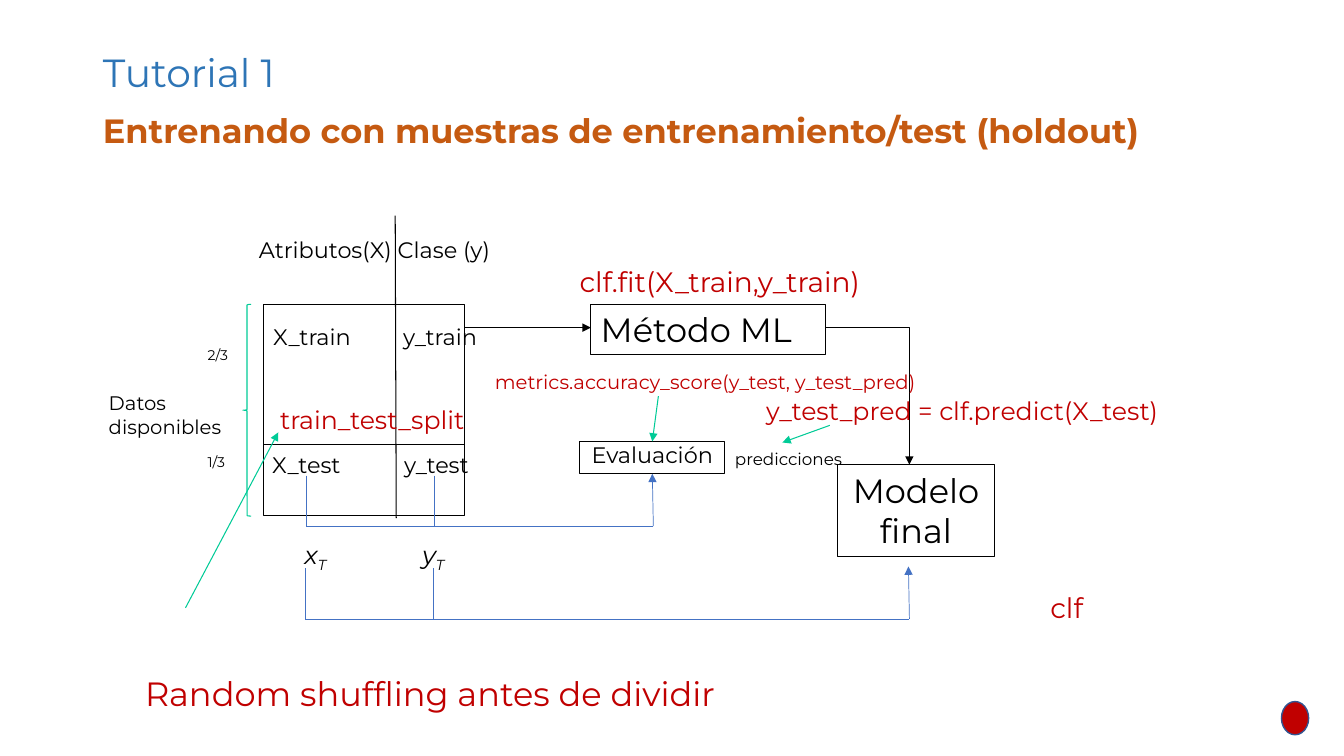
from dataclasses import dataclass

from lxml.etree import SubElement
from pptx import Presentation
from pptx.dml.color import RGBColor
from pptx.enum.shapes import MSO_CONNECTOR, MSO_SHAPE
from pptx.enum.text import MSO_ANCHOR, PP_ALIGN
from pptx.oxml.ns import qn
from pptx.shapes.autoshape import Shape
from pptx.slide import Slide
from pptx.text.text import _Paragraph as Paragraph
from pptx.util import Inches, Pt

FONT = "Montserrat"
COLORS = {
    "title": "2E75B6",
    "subtitle": "C55A11",
    "black": "000000",
    "code": "C00000",
    "green": "00CB97",
    "blue": "4472C4",
    "marker_line": "325491",
}


@dataclass
class Label:
    text: str
    left: float
    top: float
    width: float
    height: float
    size: int
    color: str = "black"
    subscript: str = ""


@dataclass
class Box:
    text: str
    left: float
    top: float
    width: float
    height: float
    size: int = 24
    align: PP_ALIGN = PP_ALIGN.CENTER
    spacing: float = 1.0


@dataclass
class Line:
    start: tuple[float, float]
    end: tuple[float, float]
    color: str = "black"
    width: float = 0.75
    arrow: bool = False


LABELS = [
    Label("Atributos(X) Clase (y)", 2.47, 2.29, 2.72, 0.37, 16),
    Label("X_train", 2.61, 3.16, 1.2, 0.37, 16),
    Label("y_train", 3.9, 3.16, 1.2, 0.37, 16),
    Label("X_test", 2.6, 4.43, 1.2, 0.37, 16),
    Label("y_test", 3.91, 4.43, 1.2, 0.37, 16),
    Label("predicciones", 7.19, 4.4, 1.39, 0.3, 12),
    Label("Datos disponibles", 0.98, 3.83, 1.41, 0.57, 14),
    Label("x", 2.92, 5.3, 0.56, 0.4, 18, subscript="T"),
    Label("y", 4.09, 5.3, 0.61, 0.4, 18, subscript="T"),
    Label("2/3", 1.96, 3.39, 0.51, 0.27, 10),
    Label("1/3", 1.96, 4.45, 0.51, 0.27, 10),
    Label("clf.fit(X_train,y_train)", 5.65, 2.58, 3.24, 0.44, 20, "code"),
    Label("y_test_pred = clf.predict(X_test)", 7.5, 3.87, 4.86, 0.4, 18, "code"),
    Label("metrics.accuracy_score(y_test, y_test_pred)", 4.81, 3.62, 4.83, 0.34, 14, "code"),
    Label("train_test_split", 2.68, 3.96, 2.14, 0.4, 18, "code"),
    Label("Random shuffling antes de dividir", 1.34, 6.63, 6.11, 0.5, 24, "code"),
    Label("clf", 10.32, 5.81, 0.74, 0.44, 20, "code"),
]
BOXES = [
    Box("", 2.61, 3.02, 2, 2.09),
    Box("Método ML", 5.86, 3.02, 2.33, 0.5, align=PP_ALIGN.LEFT),
    Box("Modelo final", 8.31, 4.61, 1.55, 0.91),
    Box("Evaluación", 5.75, 4.38, 1.44, 0.32, 16, spacing=0.8),
]
LINES = [
    Line((3.92, 2.14), (3.93, 5.14)),
    Line((2.61, 4.41), (4.61, 4.41)),
    Line((4.61, 3.25), (5.86, 3.25), arrow=True),
    Line((8.23, 4.22), (7.76, 4.39), "green", arrow=True),
    Line((6.53, 3.93), (6.47, 4.38), "green", arrow=True),
    Line((1.84, 6.03), (2.76, 4.29), "green", arrow=True),
]


def color_of(name: str) -> RGBColor:
    return RGBColor.from_string(COLORS[name])


def format_paragraph(paragraph: Paragraph, size: int, color: str) -> None:
    paragraph.font.name = FONT
    paragraph.font.size = Pt(size)
    paragraph.font.color.rgb = color_of(color)


def add_arrowhead(shape_properties) -> None:
    SubElement(shape_properties.find(qn("a:ln")), qn("a:tailEnd"), type="triangle")


def fill_placeholder(shape: Shape, text: str, top: float, height: float,
                     size: int, color: str) -> Paragraph:
    shape.left, shape.top = Inches(0.92), Inches(top)
    shape.width, shape.height = Inches(11.5), Inches(height)
    shape.text_frame.text = text
    paragraph = shape.text_frame.paragraphs[0]
    paragraph.alignment = PP_ALIGN.LEFT
    paragraph.line_spacing = 0.9
    paragraph.space_before = Pt(0)
    properties = paragraph._p.get_or_add_pPr()
    properties.set("marL", "0")
    properties.set("indent", "0")
    SubElement(properties, qn("a:buNone"))
    format_paragraph(paragraph, size, color)
    return paragraph


def add_label(slide: Slide, label: Label) -> None:
    shape = slide.shapes.add_textbox(
        Inches(label.left), Inches(label.top), Inches(label.width), Inches(label.height))
    shape.text_frame.word_wrap = True
    paragraph = shape.text_frame.paragraphs[0]
    paragraph.add_run().text = label.text
    format_paragraph(paragraph, label.size, label.color)
    if label.subscript:
        paragraph.font.italic = True
        run = paragraph.add_run()
        run.text = label.subscript
        run._r.get_or_add_rPr().set("baseline", "-25000")


def add_outline(slide: Slide, kind: MSO_SHAPE, left: float, top: float,
                width: float, height: float, color: str) -> Shape:
    shape = slide.shapes.add_shape(
        kind, Inches(left), Inches(top), Inches(width), Inches(height))
    shape.shadow.inherit = False
    shape.fill.background()
    shape.line.color.rgb = color_of(color)
    shape.line.width = Pt(0.75)
    return shape


def add_box(slide: Slide, box: Box) -> None:
    shape = add_outline(slide, MSO_SHAPE.RECTANGLE, box.left, box.top,
                        box.width, box.height, "black")
    if box.text:
        shape.text_frame.text = box.text
        shape.text_frame.word_wrap = True
        shape.text_frame.vertical_anchor = MSO_ANCHOR.TOP
        paragraph = shape.text_frame.paragraphs[0]
        paragraph.alignment = box.align
        paragraph.line_spacing = box.spacing
        format_paragraph(paragraph, box.size, "black")


def add_line(slide: Slide, line: Line) -> None:
    connector = slide.shapes.add_connector(
        MSO_CONNECTOR.STRAIGHT, *map(Inches, line.start + line.end))
    connector.line.color.rgb = color_of(line.color)
    connector.line.width = Pt(line.width)
    properties = connector._element.spPr
    if line.arrow:
        add_arrowhead(properties)
    SubElement(properties, qn("a:effectLst"))


def add_feedback(slide: Slide, left: float, top: float, target: float) -> None:
    bottom = top + 0.5
    for x in (left, left + 1.27):
        add_line(slide, Line((x, top), (x, bottom), "blue", 0.5))
    add_line(slide, Line((left, bottom), (target, bottom), "blue", 0.5))
    add_line(slide, Line((target, bottom), (target - 0.01, top - 0.02), "blue", 0.5, True))


def add_model_arrow(slide: Slide) -> None:
    builder = slide.shapes.build_freeform(Inches(8.19), Inches(3.25))
    corners = [(9.02, 3.25), (9.02, 4.61)]
    builder.add_line_segments([(Inches(x), Inches(y)) for x, y in corners], close=False)
    shape = builder.convert_to_shape()
    shape.shadow.inherit = False
    shape.fill.background()
    shape.line.color.rgb = color_of("black")
    shape.line.width = Pt(0.75)
    add_arrowhead(shape._element.spPr)


def main() -> None:
    presentation = Presentation()
    presentation.slide_width, presentation.slide_height = Inches(13.33), Inches(7.5)
    slide = presentation.slides.add_slide(presentation.slide_layouts[1])
    fill_placeholder(slide.shapes.title, "Tutorial 1", 0.4, 0.69, 28, "title")
    subtitle = fill_placeholder(
        slide.placeholders[1], "Entrenando con muestras de entrenamiento/test (holdout)",
        1.09, 0.9, 24, "subtitle")
    subtitle.font.bold = True
    for box in BOXES:
        add_box(slide, box)
    add_outline(slide, MSO_SHAPE.LEFT_BRACE, 2.41, 3.02, 0.08, 2.1, "green")
    for line in LINES:
        add_line(slide, line)
    add_model_arrow(slide)
    for label in LABELS:
        add_label(slide, label)
    add_feedback(slide, 3.04, 4.72, 6.48)
    add_feedback(slide, 3.03, 5.64, 9.02)
    marker = add_outline(slide, MSO_SHAPE.OVAL, 12.71, 6.96, 0.27, 0.33, "marker_line")
    marker.fill.solid()
    marker.fill.fore_color.rgb = color_of("code")
    marker.line.width = Pt(1)
    presentation.save("out.pptx")


if __name__ == "__main__":
    main()
